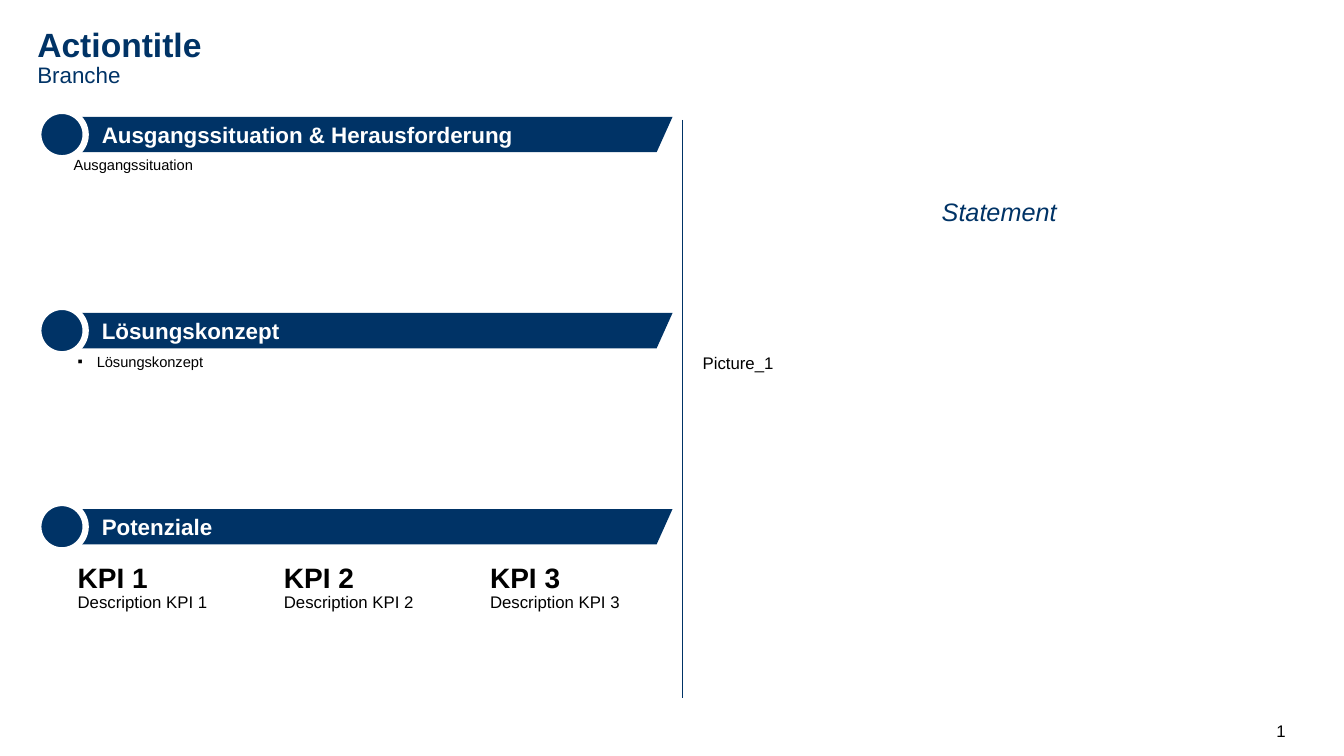
from dataclasses import dataclass
from lxml.etree import SubElement as Sub
from pptx import Presentation
from pptx.dml.color import RGBColor as RGB
from pptx.enum.shapes import MSO_CONNECTOR as LINE, MSO_SHAPE as SHAPE
from pptx.enum.text import MSO_ANCHOR as ANCHOR, PP_ALIGN as ALIGN
from pptx.oxml.ns import qn
from pptx.util import Inches, Pt


@dataclass(frozen=True)
class Theme:
    face: str = "Arial"
    navy: RGB = RGB(0x00, 0x33, 0x66)
    white: RGB = RGB(0xFF, 0xFF, 0xFF)
    black: RGB = RGB(0x00, 0x00, 0x00)
    title: int = 24
    kpi: int = 20
    quote: int = 18
    head: int = 16
    text: int = 12
    small: float = 10.5


theme = Theme()
deck = Presentation()
deck.slide_width, deck.slide_height = Inches(13.33), Inches(7.5)
slide = deck.slides.add_slide(deck.slide_layouts[6])
shapes = slide.shapes


def add_text(at, text, size, color, ins=(0.04,) * 4, wrap=True,
             anchor=ANCHOR.TOP, font={}, para={}):
    """Add a text box with one formatted paragraph."""
    box = shapes.add_textbox(*map(Inches, at))
    frame = box.text_frame
    frame.word_wrap, frame.vertical_anchor = wrap, anchor
    sides = ("left", "top", "right", "bottom")
    for side, gap in zip(sides, ins):
        setattr(frame, f"margin_{side}", Inches(gap))
    line = frame.paragraphs[0]
    for key, val in para.items():
        setattr(line, key, val)
    run = line.add_run()
    run.text = text
    look = {"name": theme.face, "size": Pt(size), **font}
    for key, val in look.items():
        setattr(run.font, key, val)
    run.font.color.rgb = color
    return box


def add_form(kind, at):
    """Add a navy shape without shadow or outline."""
    form = shapes.add_shape(kind, *map(Inches, at))
    form.shadow.inherit = False
    form.fill.solid()
    form.fill.fore_color.rgb = theme.navy
    form.line.fill.background()
    return form


bold = {"bold": True}
tight = {"line_spacing": 0.9, "space_before": Pt(10)}
pad = (0.1, 0.05, 0.1, 0.05)

# Page number
add_text((12.44, 7.1, 0.53, 0.3), "1", theme.text, theme.black, pad,
         wrap=False, anchor=ANCHOR.MIDDLE, para={"alignment": ALIGN.CENTER})

# Divider between the two halves
rule = shapes.add_connector(LINE.STRAIGHT, Inches(6.77), Inches(1.19),
                            Inches(6.77), Inches(6.92))
rule.line.color.rgb = theme.navy
rule.line.width = Pt(0.5)
Sub(rule.element.spPr, qn("a:effectLst"))

# Section headers
heads = ["Ausgangssituation & Herausforderung", "Lösungskonzept", "Potenziale"]
for row, head in enumerate(heads):
    top = 1.16 + row * 1.945
    bar = add_form(SHAPE.PARALLELOGRAM, (0.62, top, 6.05, 0.35))
    bar.adjustments[0] = 0.449
    dot = add_form(SHAPE.OVAL, (0.38, top - 0.06, 0.47, 0.47))
    dot.line.color.rgb = theme.white
    dot.line.width = Pt(4.5)
    add_text((0.62, top + 0.04, 4.9, 0.27), head, theme.head, theme.white,
             (0.39, 0, 0.1, 0), font=bold)

# Title and subtitle
add_text((0.37, 0, 12.6, 0.64), "Actiontitle", theme.title, theme.navy,
         (0,) * 4, anchor=ANCHOR.BOTTOM, font=bold, para={"line_spacing": 0.9})
add_text((0.37, 0.64, 12.6, 0.36), "Branche", theme.head, theme.navy,
         (0,) * 4, para=tight)

# Situation
add_text((0.69, 1.51, 5.98, 1.49), "Ausgangssituation", theme.small,
         theme.black, para={"alignment": ALIGN.JUSTIFY})

# Solution: bulleted text in two columns
plan = add_text((0.73, 3.46, 5.94, 1.43), "Lösungskonzept", theme.small,
                theme.black, para={"space_before": Pt(2)})
body = plan.text_frame._txBody.bodyPr
body.set("numCol", "2")
body.set("spcCol", str(Inches(0.02)))
props = plan.text_frame.paragraphs[0]._p.get_or_add_pPr()
props.set("marL", str(Inches(0.19)))
props.set("indent", str(Inches(-0.19)))
Sub(props, qn("a:buFont"), typeface=theme.face)
Sub(props, qn("a:buChar"), char="▪")

# Statement and picture label
add_text((7.34, 1.38, 5.14, 1.44), "Statement", theme.quote, theme.navy,
         anchor=ANCHOR.MIDDLE, font={"italic": True},
         para={"alignment": ALIGN.CENTER, "space_before": Pt(6)})
add_text((6.87, 3.47, 6.09, 3.39), "Picture_1", theme.text, theme.black,
         pad, para=tight)

# Key figures
for col in range(3):
    left = 0.73 + col * 2.045
    name = f"KPI {col + 1}"
    cells = [
        add_text((left, 5.56, 1.85, 0.3), name, theme.kpi, theme.black,
                 (0.04, 0, 0.04, 0), font=bold),
        add_text((left, 5.87, 1.85, 0.66), f"Description {name}", theme.text,
                 theme.black, (0.04, 0, 0.04, 0.12)),
    ]
    for cell in cells:
        cell.fill.solid()
        cell.fill.fore_color.rgb = theme.white

deck.save("out.pptx")
